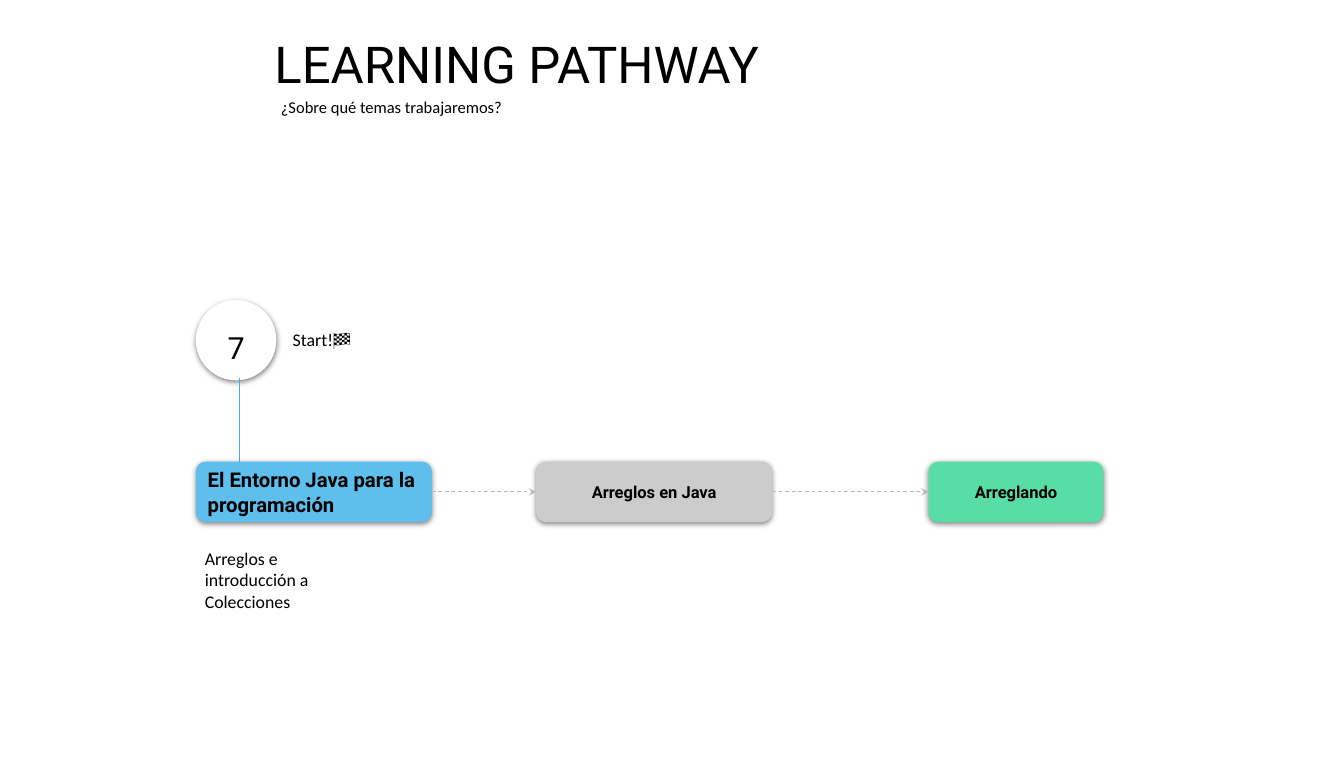
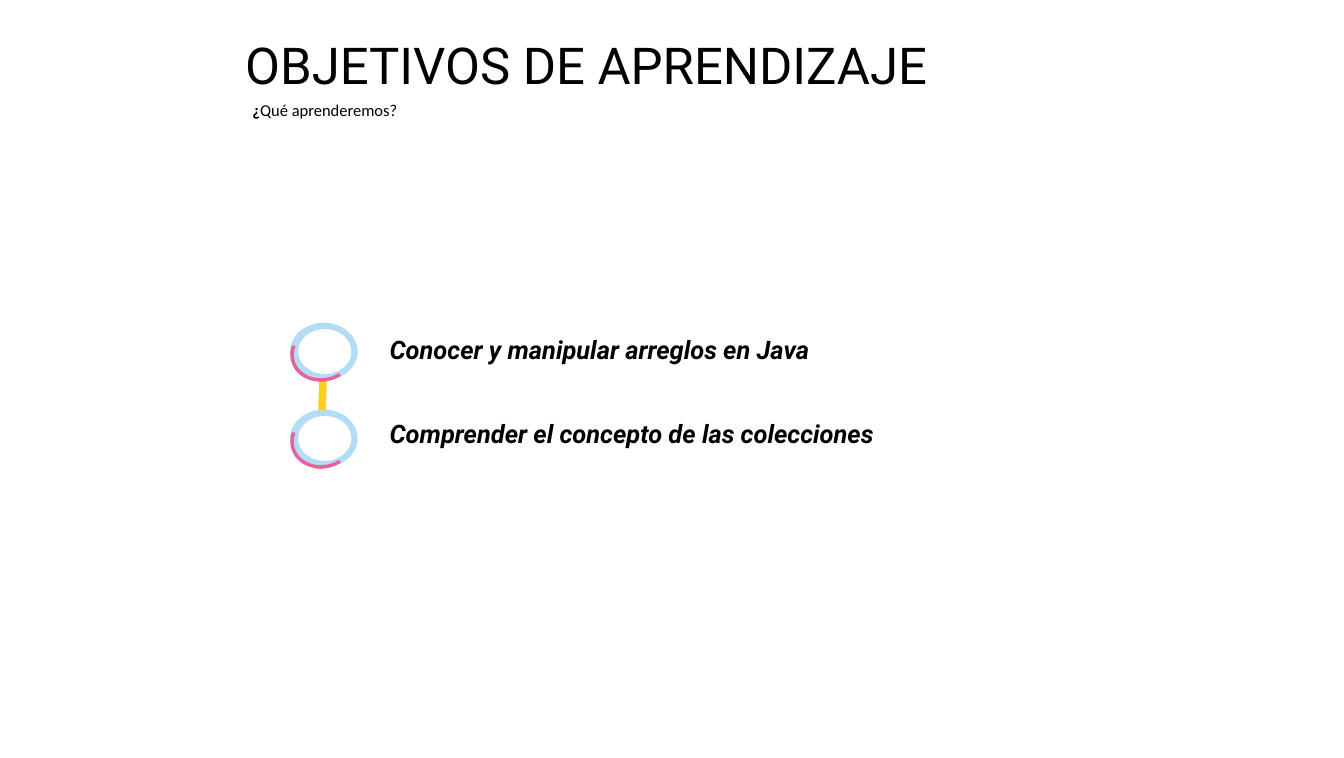
"""Build a learning pathway slide and a learning objectives slide."""
from itertools import pairwise

from pptx import Presentation
from pptx.dml.color import RGBColor
from pptx.enum.dml import MSO_LINE
from pptx.enum.shapes import MSO_CONNECTOR, MSO_SHAPE
from pptx.enum.text import MSO_ANCHOR, MSO_AUTO_SIZE, PP_ALIGN
from pptx.oxml.ns import qn
from pptx.util import Inches, Pt
from lxml.etree import SubElement

BLACK, WHITE = "000000", "FFFFFF"
TITLE_FONT, BODY_FONT = "Roboto", "Calibri"
TITLE = {"name": TITLE_FONT, "size": Pt(40), "bold": False}
SUBTITLE = {"name": BODY_FONT, "size": Pt(13), "bold": False}
NOTE = {"name": BODY_FONT, "size": Pt(14)}
NUMBER = {"name": TITLE_FONT, "size": Pt(24)}
TOPIC = {"name": TITLE_FONT, "size": Pt(16), "bold": True}
STEP = {**TOPIC, "size": Pt(13)}
OBJECTIVE = {"name": TITLE_FONT, "size": Pt(20), "bold": True, "italic": True}

PATHWAY_HEADING = [
    ((2.9, 0.26, 7.24, 0.88), [("LEARNING PATHWAY", TITLE)]),
    ((2.97, 0.96, 4.2, 0.42), [("¿Sobre qué temas trabajaremos?", SUBTITLE)]),
]
OBJECTIVES_HEADING = [
    ((2.58, 0.27, 8.57, 0.88), [("OBJETIVOS DE APRENDIZAJE", TITLE)]),
    ((2.66, 0.99, 2.77, 0.42),
     [("¿", {**SUBTITLE, "bold": True}), ("Qué aprenderemos?", SUBTITLE)]),
]
CARDS = [
    (2.14, 2.58, "5EBEEC", "El Entorno Java para la programación", TOPIC, PP_ALIGN.LEFT),
    (5.86, 2.58, "CCCCCC", "Arreglos en Java", STEP, PP_ALIGN.CENTER),
    (10.15, 1.91, "58DDA6", "Arreglando", STEP, PP_ALIGN.CENTER),
]
CARD_TOP, CARD_HEIGHT = 5.05, 0.66
PATHWAY_LABELS = [
    ((2.39, 3.5, 0.71, 0.61), "7", NUMBER),
    ((3.1, 3.5, 1.12, 0.44), "Start!🏁", NOTE),
    ((2.14, 5.89, 1.83, 0.91), "Arreglos e introducción a Colecciones", NOTE),
]
OBJECTIVES = [
    ((4.16, 3.55, 6.21, 0.54), "Conocer y manipular arreglos en Java"),
    ((4.16, 4.47, 5.5, 0.88), "Comprender el concepto de las colecciones"),
]
RING_TOP, RING_PITCH = 3.53, 0.95


def color(value):
    return RGBColor.from_string(value)


def write(shape, runs, align=PP_ALIGN.LEFT, anchor=MSO_ANCHOR.TOP):
    frame = shape.text_frame
    settings = {"word_wrap": True, "auto_size": MSO_AUTO_SIZE.NONE, "vertical_anchor": anchor}
    settings.update({f"margin_{side}": Inches(0.1) for side in ("left", "top", "right", "bottom")})
    for name, value in settings.items():
        setattr(frame, name, value)
    paragraph = frame.paragraphs[0]
    paragraph.alignment = align
    paragraph.space_before = Pt(0)
    paragraph.line_spacing = 1.0
    for text, style in runs:
        run = paragraph.add_run()
        run.text = text
        run.font.color.rgb = color(BLACK)
        for name, value in style.items():
            setattr(run.font, name, value)


def add_label(slide, box, text, style):
    write(slide.shapes.add_textbox(*map(Inches, box)), [(text, style)])


def add_figure(slide, kind, box, fill, shadow=False):
    shape = slide.shapes.add_shape(kind, *map(Inches, box))
    shape.fill.solid()
    shape.fill.fore_color.rgb = color(fill)
    shape.line.fill.background()
    shape.shadow.inherit = False
    if shadow:
        effects = shape._element.spPr.find(qn("a:effectLst"))
        outer = SubElement(effects, qn("a:outerShdw"), blurRad=str(Pt(4.5)), dist=str(Pt(1.5)),
                           dir="5400000", algn="bl", rotWithShape="0")
        tint = SubElement(outer, qn("a:srgbClr"), val=BLACK)
        SubElement(tint, qn("a:alpha"), val="50000")
    return shape


def add_line(slide, ends, line_color, width, kind=MSO_CONNECTOR.STRAIGHT):
    connector = slide.shapes.add_connector(kind, *map(Inches, ends))
    connector.line.color.rgb = color(line_color)
    connector.line.width = Pt(width)
    SubElement(connector._element.spPr, qn("a:effectLst"))
    return connector


def add_slide(presentation, heading):
    slide = presentation.slides.add_slide(presentation.slide_layouts[0])
    for placeholder, (box, runs) in zip(slide.placeholders, heading):
        for name, value in zip(("left", "top", "width", "height"), box):
            setattr(placeholder, name, Inches(value))
        write(placeholder, runs)
    return slide


def build_pathway(presentation):
    slide = add_slide(presentation, PATHWAY_HEADING)
    add_figure(slide, MSO_SHAPE.OVAL, (2.14, 3.28, 0.88, 0.88), WHITE, shadow=True)
    add_line(slide, (2.62, 4.13, 2.62, CARD_TOP), "33B7EE", 0.75)
    cards = []
    for left, width, fill, text, style, align in CARDS:
        card = add_figure(slide, MSO_SHAPE.ROUNDED_RECTANGLE,
                          (left, CARD_TOP, width, CARD_HEIGHT), fill, shadow=True)
        write(card, [(text, style)], align, MSO_ANCHOR.MIDDLE)
        cards.append(card)
    for first, second in pairwise(cards):
        arrow = add_line(slide, (0, 0, 0, 0), "B7B7B7", 0.75, MSO_CONNECTOR.ELBOW)
        arrow.begin_connect(first, 3)
        arrow.end_connect(second, 1)
        arrow.line.dash_style = MSO_LINE.DASH
        SubElement(arrow.line._get_or_add_ln(), qn("a:tailEnd"), type="stealth")
    for label in PATHWAY_LABELS:
        add_label(slide, *label)


def add_ring(slide, top):
    add_figure(slide, MSO_SHAPE.OVAL, (3.17, top, 0.74, 0.63), "B3DDF5")
    add_figure(slide, MSO_SHAPE.OVAL, (3.26, top + 0.07, 0.58, 0.49), WHITE)
    arc = add_figure(slide, MSO_SHAPE.BLOCK_ARC, (3.22, top - 0.04, 0.63, 0.73), "EA5F9E")
    arc.rotation = 253.6
    for index, value in enumerate((95.84, 179.71, 0.06)):
        arc.adjustments[index] = value


def build_objectives(presentation):
    slide = add_slide(presentation, OBJECTIVES_HEADING)
    add_line(slide, (3.54, 3.86, 3.5, 5.13), "FDD015", 6)
    for index, (box, text) in enumerate(OBJECTIVES):
        add_ring(slide, RING_TOP + index * RING_PITCH)
        add_label(slide, box, text, OBJECTIVE)


def main():
    presentation = Presentation()
    presentation.slide_width = Inches(14.69)
    presentation.slide_height = Inches(8.29)
    build_pathway(presentation)
    build_objectives(presentation)
    presentation.save("out.pptx")


if __name__ == "__main__":
    main()
